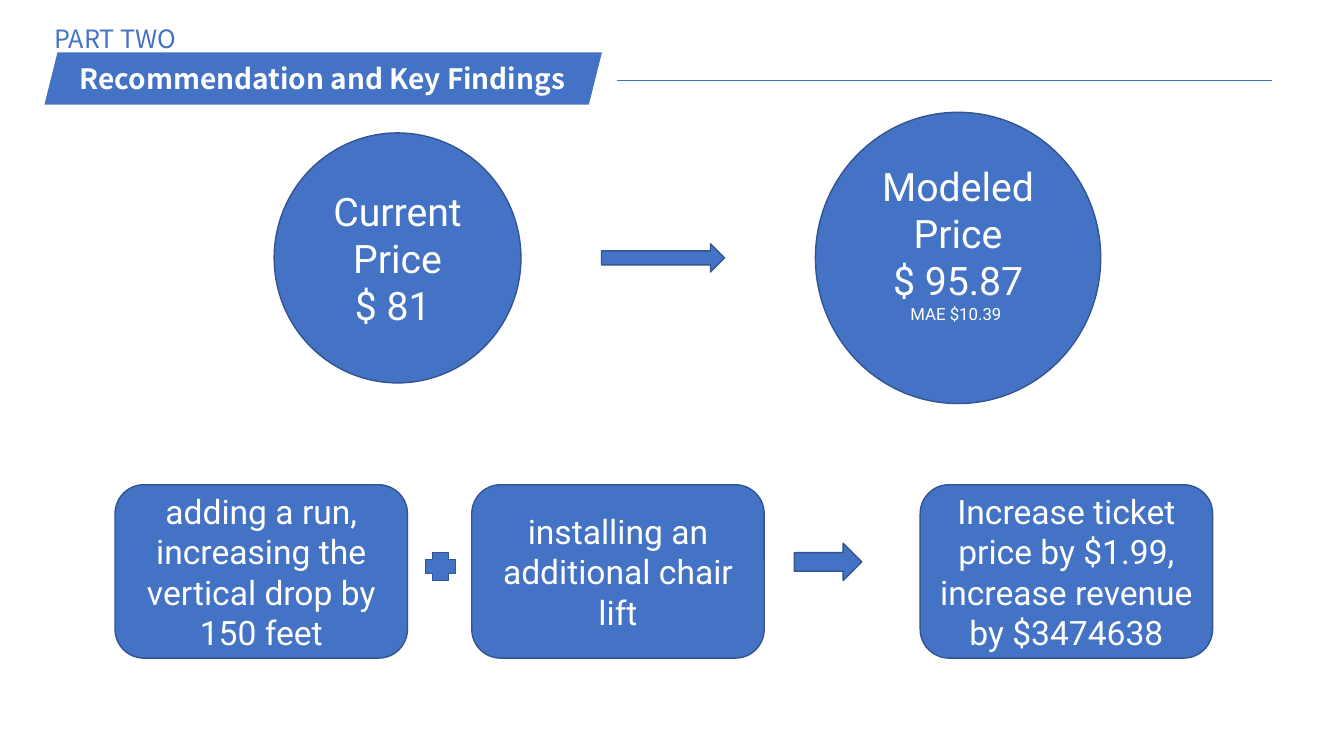
from dataclasses import dataclass

from lxml import etree
from pptx import Presentation
from pptx.dml.color import RGBColor
from pptx.enum.shapes import MSO_CONNECTOR, MSO_SHAPE
from pptx.enum.text import MSO_ANCHOR, MSO_AUTO_SIZE, PP_ALIGN
from pptx.oxml.ns import qn
from pptx.util import Cm, Pt

OVAL, ROUND = MSO_SHAPE.OVAL, MSO_SHAPE.ROUNDED_RECTANGLE
ARROW, PLUS = MSO_SHAPE.RIGHT_ARROW, MSO_SHAPE.CROSS
SLANT = MSO_SHAPE.PARALLELOGRAM
LINE = MSO_CONNECTOR.STRAIGHT
MIDDLE, CENTER = MSO_ANCHOR.MIDDLE, PP_ALIGN.CENTER
FIXED = MSO_AUTO_SIZE.NONE

BLUE, EDGE, WHITE = "4472C4", "325491", "FFFFFF"
HEAD, BODY = "Noto Sans CJK SC", "Roboto"


@dataclass
class Part:
    kind: MSO_SHAPE
    left: float
    mid: float
    width: float
    height: float
    lines: tuple = ()  # (text, point size) pairs
    foot: float = 0.13  # bottom inset


def paint(target, color: str) -> None:
    target.rgb = RGBColor.from_string(color)


def place(shape, left: float, top: float, width: float, height: float) -> None:
    spots = {"left": left, "top": top, "width": width, "height": height}
    for name, value in spots.items():
        setattr(shape, name, Cm(value))


def write(shape, lines: tuple, face: str, color: str, bold: bool = False,
          wrap: bool = True, side: float = 0.25, foot: float = 0.13) -> None:
    frame = shape.text_frame
    form = {"word_wrap": wrap, "auto_size": FIXED, "vertical_anchor": MIDDLE,
            "margin_left": Cm(side), "margin_right": Cm(side),
            "margin_top": Cm(0.13), "margin_bottom": Cm(foot)}
    for name, value in form.items():
        setattr(frame, name, value)
    frame.text = "\n".join(text for text, _ in lines)
    for para, (_, size) in zip(frame.paragraphs, lines):
        para.alignment = CENTER
        para.line_spacing = 1.0
        para.space_before = Pt(0)
        font = para.runs[0].font
        for name, value in {"name": face, "size": Pt(size), "bold": bold}.items():
            setattr(font, name, value)
        font.fill.solid()
        paint(font.fill.fore_color, color)


def draw(shapes, part: Part, edge: str = ""):
    shape = shapes.add_shape(part.kind, 0, 0, 0, 0)
    place(shape, part.left, part.mid - part.height / 2, part.width, part.height)
    shape.shadow.inherit = False
    shape.fill.solid()
    paint(shape.fill.fore_color, BLUE)
    if edge:
        paint(shape.line.color, edge)
        shape.line.width = Pt(1)
    else:
        shape.line.fill.background()
    if part.lines:
        write(shape, part.lines, BODY, WHITE, foot=part.foot)
    return shape


deck = Presentation()
deck.slide_width, deck.slide_height = Cm(33.87), Cm(19.05)
slide = deck.slides.add_slide(deck.slide_layouts[5])
shapes = slide.shapes

# Heading: label, band, title on top of the band, rule
label = shapes.add_textbox(0, 0, 0, 0)
place(label, 0.46, 0.3, 4.9, 1.32)
write(label, (("PART TWO", 18),), HEAD, BLUE, wrap=False)
draw(shapes, Part(SLANT, 1.12, 1.98, 14.05, 1.32))
title = shapes.title
place(title, 1.32, 1.42, 13.61, 1.12)
write(title, (("Recommendation and Key Findings", 20),), HEAD, WHITE, bold=True)
title.element.getparent().append(title.element)
rule = shapes.add_connector(LINE, Cm(15.54), Cm(2.03), Cm(32.05), Cm(2.03))
paint(rule.line.color, BLUE)
rule.line.width = Pt(0.75)
etree.SubElement(rule.element.spPr, qn("a:effectLst"))

# Prices above, actions and their effect below
PRICE, STEP = 6.5, 14.4  # middles of the two rows
BOX = (STEP, 7.37, 4.37)
parts = [
    Part(OVAL, 6.91, PRICE, 6.22, 6.3, (("Current Price", 28), ("$ 81 ", 28))),
    Part(OVAL, 20.55, PRICE, 7.19, 7.34,
         (("Modeled Price", 28), ("$ 95.87", 28), ("MAE $10.39 ", 12)), 0.87),
    Part(ARROW, 15.16, PRICE, 3.1, 0.71),
    Part(ROUND, 2.9, *BOX,
         (("adding a run, increasing the vertical drop by 150 feet", 24),)),
    Part(ROUND, 11.89, *BOX, (("installing an additional chair lift", 24),)),
    Part(ARROW, 20.02, 14.16, 1.7, 0.94),
    Part(PLUS, 10.72, 14.28, 0.76, 0.71),
    Part(ROUND, 23.19, *BOX,
         (("Increase ticket price by $1.99, increase revenue by $3474638", 24),)),
]
for part in parts:
    draw(shapes, part, EDGE)

deck.save("out.pptx")
